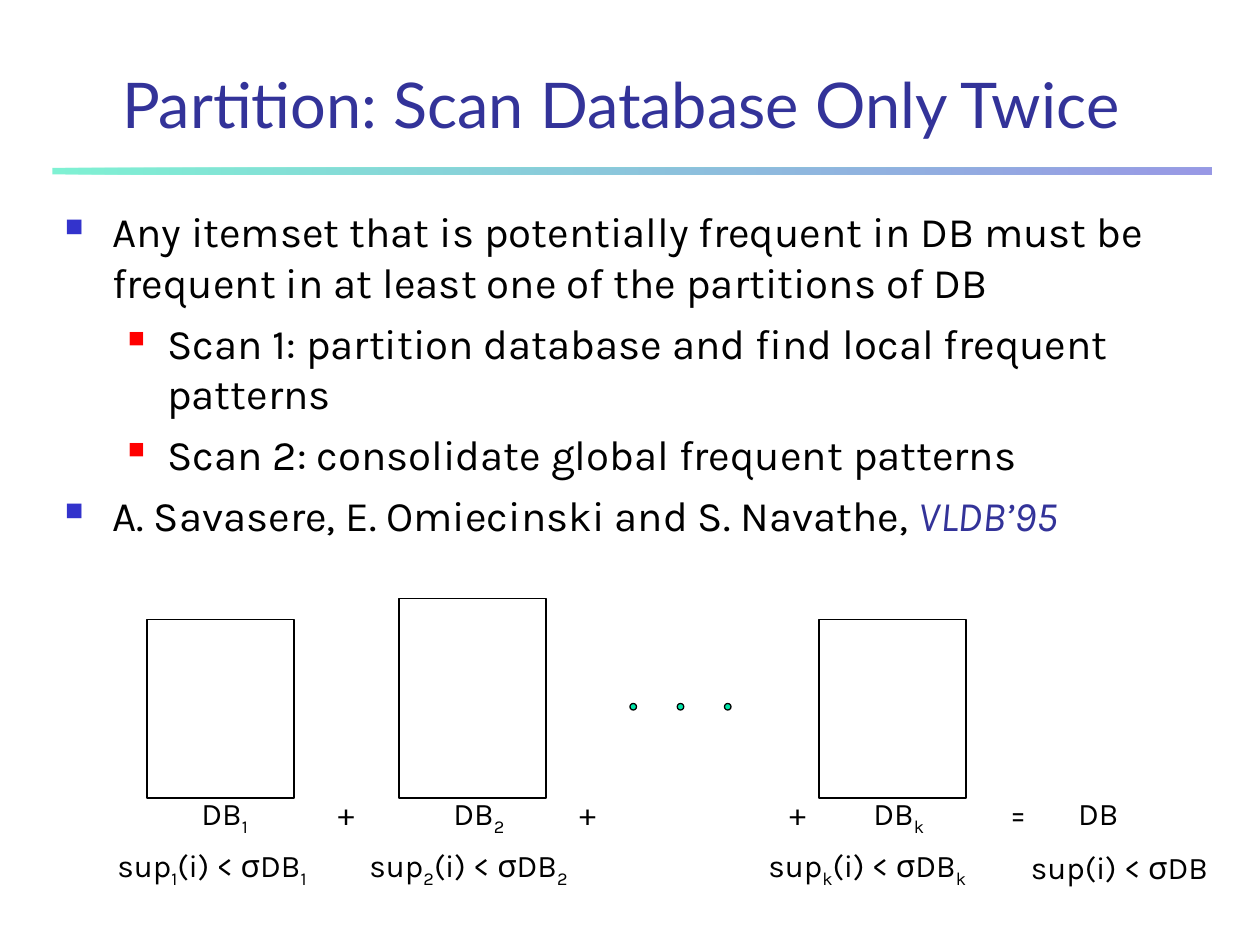
"""Build the slide on partitioned frequent itemset mining."""
from lxml import etree
from pptx import Presentation
from pptx import util as u
from pptx.dml.color import RGBColor
from pptx.enum import shapes, text
from pptx.oxml import ns

BLACK = RGBColor(0x00, 0x00, 0x00)
NAVY = RGBColor(0x33, 0x33, 0x99)
BLUE = RGBColor(0x33, 0x33, 0xCC)
RED = RGBColor(0xFF, 0x00, 0x00)
GREEN = RGBColor(0x00, 0xE4, 0xA8)

TITLE = {"size": u.Pt(36), "name": "Lato"}
BODY = {"size": u.Pt(24), "name": "Karla"}
LABEL = {"size": u.Pt(18), "name": "Karla"}
BULLETS = [
    {"indent": 27, "hang": 27, "color": BLUE, "percent": 60},
    {"indent": 58.5, "hang": 22.5, "color": RED, "percent": 55},
]


def add_xml(parent, tag, **values):
    return etree.SubElement(parent, ns.qn(f"a:{tag}"), values)


class SlideWriter:
    def __init__(self, slide):
        self.slide = slide

    def shape(self, kind, left, top, width, height, color=None):
        shape = self.slide.shapes.add_shape(
            kind, u.Pt(left), u.Pt(top), u.Pt(width), u.Pt(height))
        shape.shadow.inherit = False
        shape.line.color.rgb = BLACK
        shape.line.width = u.Pt(0.75)
        if color is None:
            shape.fill.background()
        else:
            shape.fill.solid()
            shape.fill.fore_color.rgb = color
        return shape

    def gradient_bar(self, left, top, width, height, colors):
        bar = self.shape(shapes.MSO_SHAPE.RECTANGLE, left, top, width, height)
        bar.line.fill.background()
        bar.fill.gradient()
        bar.fill.gradient_angle = 0
        for stop, color, position in zip(bar.fill.gradient_stops, colors, (0, 1)):
            stop.color.rgb = color
            stop.position = position
        for color in bar.element.iter(ns.qn("a:srgbClr")):
            add_xml(color, "alpha", val="50000")

    def box(self, left, top, width, height, **settings):
        box = self.slide.shapes.add_textbox(
            u.Pt(left), u.Pt(top), u.Pt(width), u.Pt(height))
        frame = box.text_frame
        for name, value in {"word_wrap": True, **settings}.items():
            setattr(frame, name, value)
        return frame

    def span(self, para, words, style, color=BLACK, subscript=False):
        span = para.add_run()
        span.text = words
        for name, value in style.items():
            setattr(span.font, name, value)
        span.font.color.rgb = color
        if subscript:
            span.font._element.set("baseline", "-25000")

    def title(self, words, left, top, width, height):
        frame = self.box(left, top, width, height,
                         vertical_anchor=text.MSO_ANCHOR.BOTTOM)
        para = frame.paragraphs[0]
        para.alignment = text.PP_ALIGN.CENTER
        self.span(para, words, TITLE, NAVY)

    def bullet(self, frame, words, level=0):
        first = frame.paragraphs[0]
        para = frame.add_paragraph() if first.runs else first
        para.level = level
        para.space_before = u.Pt(6)
        look = BULLETS[level]
        props = para._p.get_or_add_pPr()
        props.set("marL", str(u.Pt(look["indent"])))
        props.set("indent", str(-u.Pt(look["hang"])))
        color = add_xml(props, "buClr")
        add_xml(color, "srgbClr", val=str(look["color"]))
        add_xml(props, "buSzPct", val=str(look["percent"] * 1000))
        add_xml(props, "buChar", char="■")
        self.span(para, words, BODY)
        return para

    def label(self, left, top, width, *parts, tab=None):
        """Write parts in turn as normal text and subscript."""
        frame = self.box(left, top, width, 30,
                         auto_size=text.MSO_AUTO_SIZE.SHAPE_TO_FIT_TEXT)
        para = frame.paragraphs[0]
        if tab:
            tabs = add_xml(para._p.get_or_add_pPr(), "tabLst")
            add_xml(tabs, "tab", pos=str(u.Pt(tab)), algn="l")
        for index, words in enumerate(parts):
            self.span(para, words, LABEL, subscript=index % 2 == 1)


def main():
    deck = Presentation()
    deck.slide_width, deck.slide_height = u.Pt(720), u.Pt(540)
    page = SlideWriter(deck.slides.add_slide(deck.slide_layouts[6]))

    page.gradient_bar(30, 96, 662.5, 3.75, (GREEN, BLUE))
    page.title("Partition: Scan Database Only Twice", 48, 36, 613.5, 48)

    body = page.box(30, 114, 666, 216)
    page.bullet(body, "Any itemset that is potentially frequent in DB must be "
                      "frequent in at least one of the partitions of DB")
    page.bullet(body, "Scan 1: partition database and find local frequent patterns", 1)
    page.bullet(body, "Scan 2: consolidate global frequent patterns", 1)
    source = page.bullet(body, "A. Savasere, E. Omiecinski and S. Navathe, ")
    page.span(source, "VLDB’95", {**BODY, "italic": True}, NAVY)

    bottom, label_top, support_top = 456, 450, 480
    partitions = [("1", 84, 102, 60), ("2", 228, 114, 204), ("k", 468, 102, 432)]
    for name, left, height, support_left in partitions:
        page.shape(shapes.MSO_SHAPE.RECTANGLE, left, bottom - height, 84, height)
        page.label(left + 24, label_top, 48, "DB", name)
        page.label(support_left, support_top, 132, "sup", name, "(i) < σDB", name)
    for index in range(3):
        page.shape(shapes.MSO_SHAPE.OVAL, 360 + 27 * index, 402, 3.75, 3.75, GREEN)
    for left in (186, 324, 444):
        page.label(left, label_top, 18, "+")
    page.label(570, label_top, 108, "=\tDB", tab=39)
    page.label(582, support_top + 1, 132, "sup(i) < σDB")

    deck.save("out.pptx")


if __name__ == "__main__":
    main()
